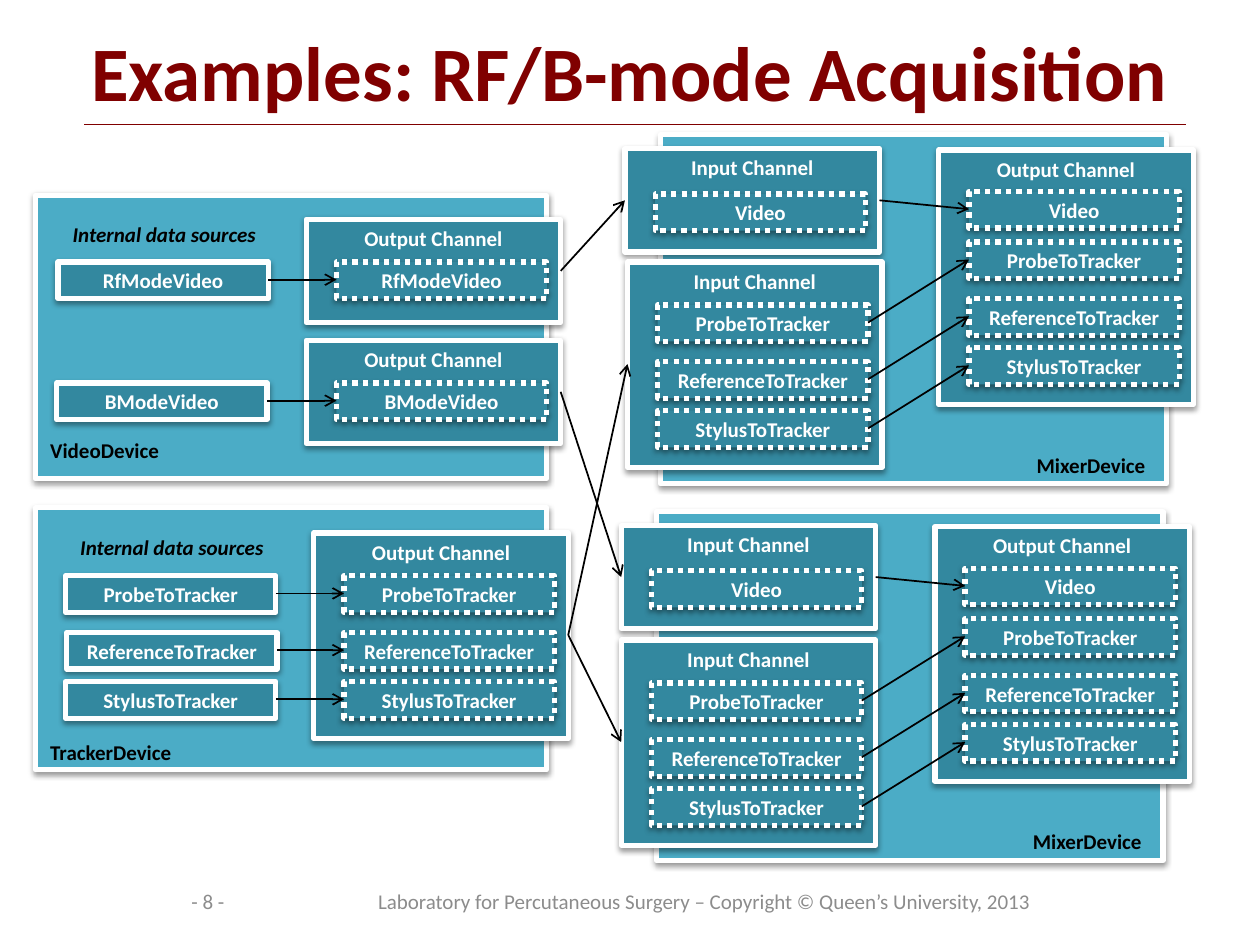
from dataclasses import dataclass
from typing import Any

from lxml import etree
from pptx import Presentation
from pptx.dml.color import RGBColor
from pptx.enum.dml import MSO_LINE
from pptx.enum.shapes import MSO_CONNECTOR, MSO_SHAPE
from pptx.enum.text import MSO_ANCHOR, MSO_AUTO_SIZE, PP_ALIGN
from pptx.oxml import parse_xml
from pptx.oxml.ns import nsdecls, qn
from pptx.util import Inches, Pt

LEFT, CENTER, RIGHT = PP_ALIGN.LEFT, PP_ALIGN.CENTER, PP_ALIGN.RIGHT
TOP, MIDDLE = MSO_ANCHOR.TOP, MSO_ANCHOR.MIDDLE
RECT, STRAIGHT = MSO_SHAPE.RECTANGLE, MSO_CONNECTOR.STRAIGHT
DOTTED, FIXED = MSO_LINE.ROUND_DOT, MSO_AUTO_SIZE.NONE
COLS, ROWS = 1000, 750
CHANNEL_W, STREAM_W, STREAM_H, STREAM_DX = 202, 167, 29, 24


@dataclass(frozen=True)
class Theme:
    font: str = "Calibri"
    title: str = "800000"
    device: str = "4BACC6"
    channel: str = "33889F"
    light: str = "FFFFFF"
    dark: str = "000000"
    muted: str = "8C8C8C"
    title_size: int = 44
    text_size: int = 12
    border: float = 3
    arrow: float = 1
    rule: float = 0.75


@dataclass(frozen=True)
class Box:
    x: int
    y: int
    w: int
    h: int


@dataclass(frozen=True)
class Device:
    box: Box
    name: str
    label: Box
    align: Any


@dataclass(frozen=True)
class Channel:
    x: int
    y: int
    h: int
    title: str
    streams: dict[str, int]


T = Theme()
TRACKS = ("ProbeToTracker", "ReferenceToTracker", "StylusToTracker")
TRACK_ROWS = (34, 79, 118)
TRACK_STREAMS = dict(zip(TRACKS, TRACK_ROWS))
MIXED_STREAMS = {"Video": 33} | {t: dy + 39 for t, dy in TRACK_STREAMS.items()}
OUT, IN = "Output Channel", "Input Channel"

prs = Presentation()
prs.slide_width, prs.slide_height = Inches(10), Inches(7.5)
s = prs.slides.add_slide(prs.slide_layouts[5])


def col(n: float) -> int:
    return round(prs.slide_width * n / COLS)


def row(n: float) -> int:
    return round(prs.slide_height * n / ROWS)


def place(b: Box) -> tuple[int, int, int, int]:
    return col(b.x), row(b.y), col(b.w), row(b.h)


def write(sp: Any, text: str, color: str, align: Any = CENTER, anchor: Any = MIDDLE,
          size: int = T.text_size, bold: bool = True, italic: bool = False,
          wrap: bool = True) -> None:
    tf = sp.text_frame
    for name, value in {"auto_size": FIXED, "word_wrap": wrap, "vertical_anchor": anchor}.items():
        setattr(tf, name, value)
    p = tf.paragraphs[0]
    p.alignment = align
    r = p.add_run()
    r.text = text
    for name, value in {"name": T.font, "size": Pt(size), "bold": bold, "italic": italic}.items():
        setattr(r.font, name, value)
    r.font.color.rgb = RGBColor.from_string(color)


def label(b: Box, text: str, color: str = T.dark, **fmt: Any) -> None:
    write(s.shapes.add_textbox(*place(b)), text, color, **fmt)


def panel(b: Box, fill: str, text: str = "", anchor: Any = MIDDLE, dotted: bool = False) -> None:
    sp = s.shapes.add_shape(RECT, *place(b))
    sp.fill.solid()
    sp.fill.fore_color.rgb = RGBColor.from_string(fill)
    sp.line.color.rgb = RGBColor.from_string(T.light)
    sp.line.width = Pt(T.border)
    if dotted:
        sp.line.dash_style = DOTTED
    sp.shadow.inherit = False
    effects = sp._element.spPr.find(qn("a:effectLst"))
    effects.append(parse_xml(
        f'<a:outerShdw {nsdecls("a")} blurRad="40000" dist="20000" dir="5400000" '
        f'rotWithShape="0"><a:srgbClr val="{T.dark}"><a:alpha val="38000"/>'
        f'</a:srgbClr></a:outerShdw>'))
    if text:
        write(sp, text, T.light, anchor=anchor)


def line(x1: int, y1: int, x2: int, y2: int, color: str = T.dark,
         width: float = T.arrow, head: bool = True) -> None:
    c = s.shapes.add_connector(STRAIGHT, col(x1), row(y1), col(x2), row(y2))
    c.line.color.rgb = RGBColor.from_string(color)
    c.line.width = Pt(width)
    if head:
        etree.SubElement(c.line._get_or_add_ln(), qn("a:tailEnd"), type="arrow")
    etree.SubElement(c._element.spPr, qn("a:effectLst"))


def draw_device(d: Device) -> None:
    panel(d.box, T.device)
    label(d.label, d.name, align=d.align, anchor=TOP)


def draw_channel(c: Channel) -> None:
    panel(Box(c.x, c.y, CHANNEL_W, c.h), T.channel, c.title, TOP)
    for name, dy in c.streams.items():
        panel(Box(c.x + STREAM_DX, c.y + dy, STREAM_W, STREAM_H), T.channel, name, dotted=True)


def draw_sources(c: Channel, xs: tuple[int, ...]) -> None:
    for x, (name, dy) in zip(xs, c.streams.items()):
        panel(Box(x, c.y + dy, STREAM_W, STREAM_H), T.channel, name)
        mid = c.y + dy + STREAM_H // 2
        line(x + STREAM_W, mid, c.x + STREAM_DX, mid)


def draw_mixer(x: int, y: int, video: Channel, tracks: Channel) -> None:
    draw_device(Device(Box(x, y, 402, 277), "MixerDevice", Box(x + 242, y + 247, 153, 26), RIGHT))
    out = Channel(x + 221, y + 12, 202, OUT, MIXED_STREAMS)
    for c in (out, video, tracks):
        draw_channel(c)
    end = out.x + STREAM_DX
    mid = STREAM_H // 2
    line(video.x + CHANNEL_W, video.y + 41, end, out.y + MIXED_STREAMS["Video"] + mid)
    for name, dy in tracks.streams.items():
        line(tracks.x + STREAM_DX + STREAM_W, tracks.y + dy + mid,
             end, out.y + MIXED_STREAMS[name] + mid)


title = s.shapes.title
for name, value in zip(("left", "top", "width", "height"), place(Box(0, 0, COLS, 113))):
    setattr(title, name, value)
write(title, "Examples: RF/B-mode Acquisition", T.title, size=T.title_size)
line(67, 99, 941, 99, T.title, T.rule, head=False)

draw_device(Device(Box(28, 403, 406, 208), "TrackerDevice", Box(30, 582, 155, 28), LEFT))
draw_device(Device(Box(28, 155, 406, 225), "VideoDevice", Box(30, 342, 155, 33), LEFT))
for x, y in ((52, 419), (46, 171)):
    label(Box(x, y, 167, 30), "Internal data sources", align=RIGHT, anchor=TOP,
          italic=True, wrap=False)

tracker = Channel(249, 423, 163, OUT, TRACK_STREAMS)
rf_mode = Channel(243, 174, 82, OUT, {"RfModeVideo": 34})
b_mode = Channel(243, 270, 82, OUT, {"BModeVideo": 34})
for channel, xs in ((tracker, (52, 53, 52)), (rf_mode, (46,)), (b_mode, (45,))):
    draw_channel(channel)
    draw_sources(channel, xs)

mixers = (
    (524, 107, Channel(496, 118, 82, IN, {"Video": 36}),
     Channel(498, 208, 163, IN, TRACK_STREAMS), rf_mode),
    (521, 406, Channel(493, 417, 82, IN, {"Video": 36}),
     Channel(493, 508, 163, IN, TRACK_STREAMS), b_mode),
)
for x, y, video, tracks, source in mixers:
    draw_mixer(x, y, video, tracks)
    for start, end in ((source, video), (tracker, tracks)):
        line(start.x + CHANNEL_W, start.y + start.h // 2, end.x, end.y + end.h // 2)

for box, text in (
    (Box(114, 695, 102, 40), "- 8 -"),
    (Box(232, 695, 654, 40),
     "Laboratory for Percutaneous Surgery – Copyright © Queen’s University, 2013"),
):
    label(box, text, T.muted, bold=False)

prs.save("out.pptx")
